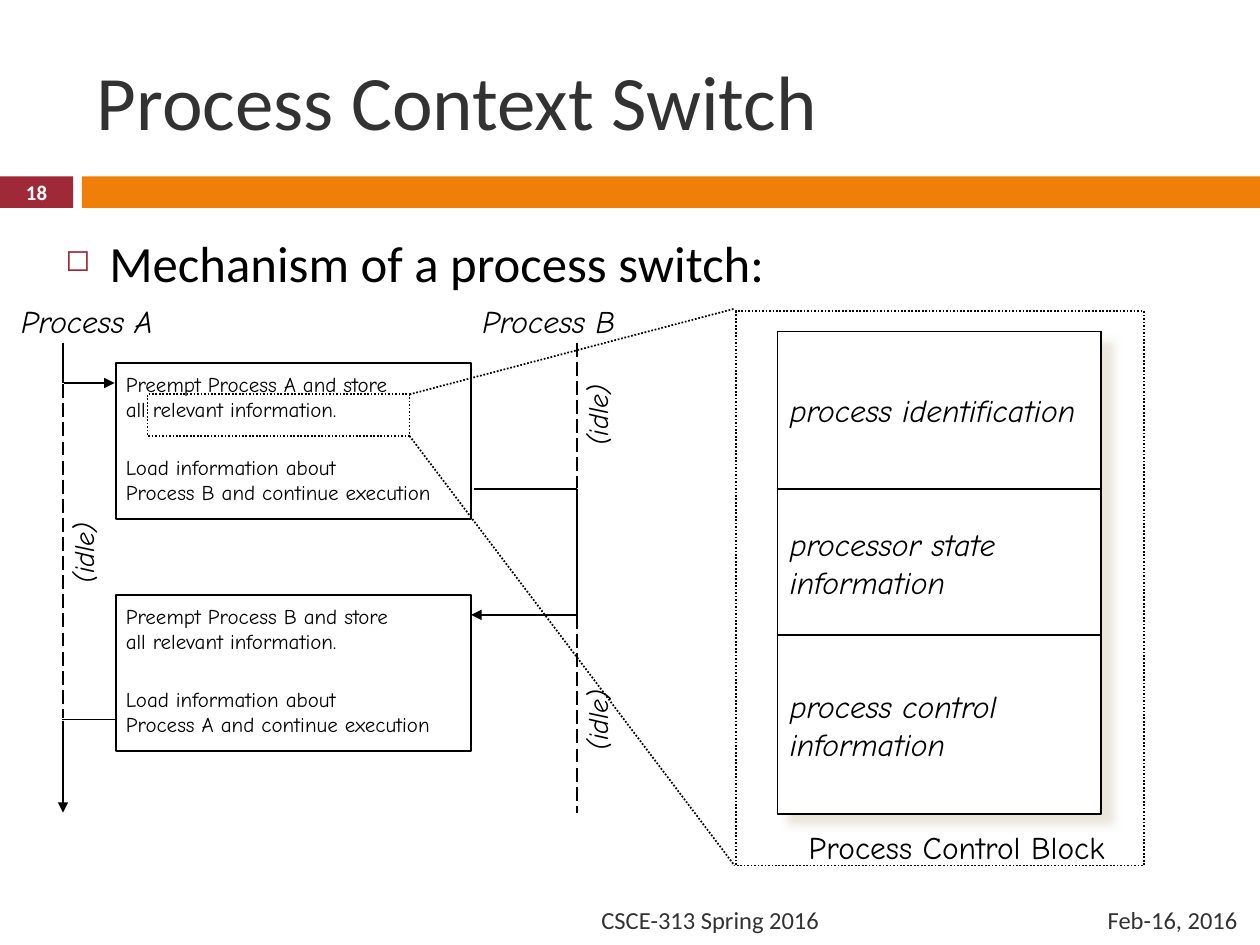
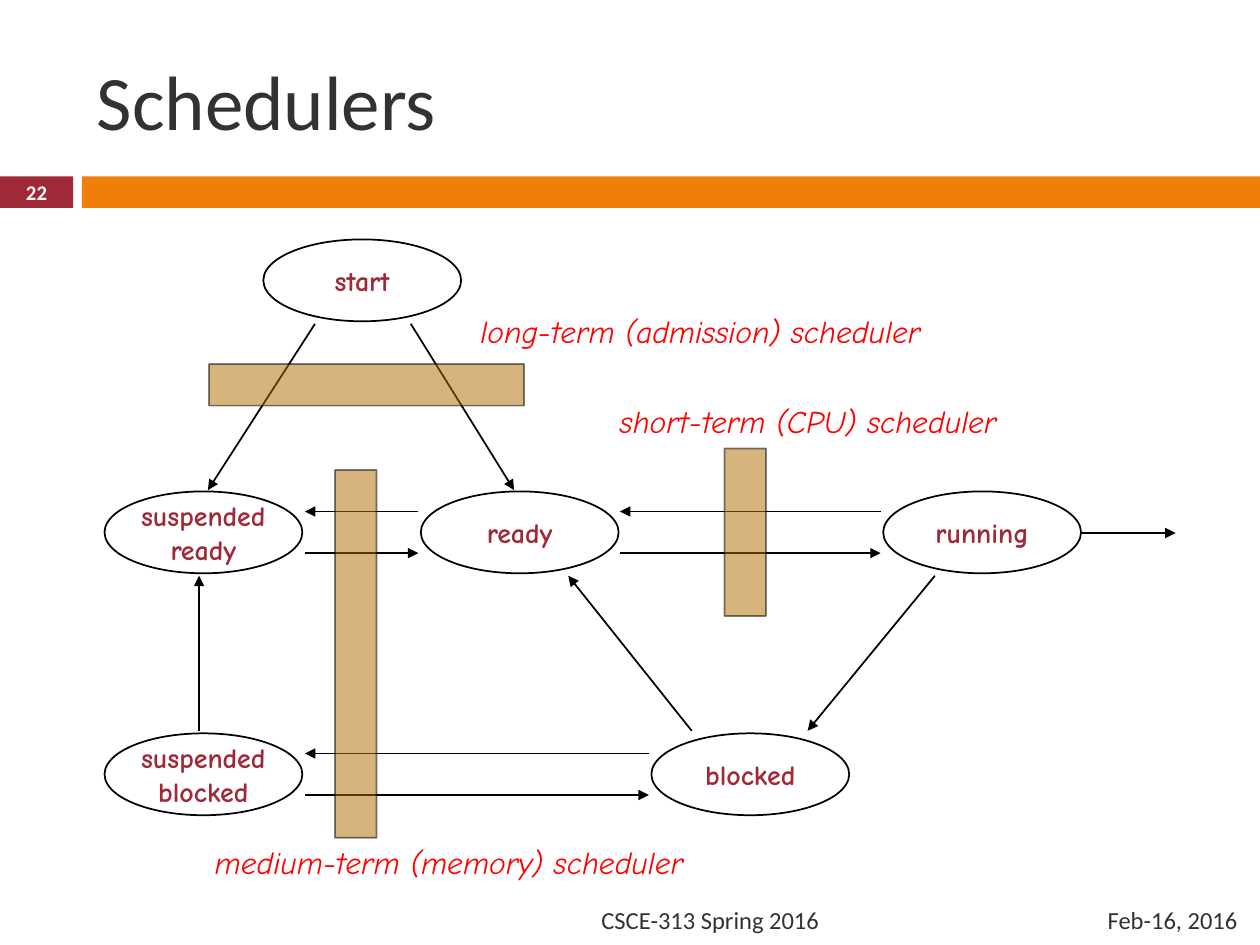
"""Build two slides on process switching and schedulers."""
from lxml.etree import SubElement as Sub
from pptx import Presentation
from pptx.dml.color import RGBColor
from pptx.enum.dml import MSO_LINE as Dash
from pptx.enum.shapes import MSO_CONNECTOR as Link, MSO_SHAPE as Form
from pptx.enum.text import MSO_ANCHOR as Anchor, PP_ALIGN as Align
from pptx.oxml.ns import qn
from pptx.util import Inches, Pt

BLACK = RGBColor(0, 0, 0)
WHITE = RGBColor(255, 255, 255)
GREY = RGBColor(0x32, 0x32, 0x32)
WINE = RGBColor(0x9F, 0x29, 0x36)
ORANGE = RGBColor(0xF0, 0x7F, 0x09)
BROWN = RGBColor(0xB2, 0x6B, 0x02)
RED = RGBColor(255, 0, 0)
HAND = "Comic Neue"
SANS = "Calibri"


def put(page, text, at, form=None, fill=None, line=None, dash=None, font=HAND, size=18,
        color=BLACK, bold=False, slant=False, align=Align.LEFT, anchor=Anchor.TOP,
        wrap=True, turn=0):
    """Place text in a plain box or in a preset shape."""
    area = [Inches(n) for n in at]
    if form is None:
        shape = page.shapes.add_textbox(*area)
    else:
        shape = page.shapes.add_shape(form, *area)
        shape.shadow.inherit = False
        if fill is None:
            shape.fill.background()
        else:
            shape.fill.solid()
            shape.fill.fore_color.rgb = fill
        if line is None:
            shape.line.fill.background()
        else:
            shape.line.color.rgb = line
            shape.line.width = Pt(1)
            shape.line.dash_style = dash
    shape.rotation = turn
    frame = shape.text_frame
    frame.word_wrap = wrap
    frame.vertical_anchor = anchor
    for i, row in enumerate(text.split("\n") if text else []):
        para = frame.add_paragraph() if i else frame.paragraphs[0]
        para.alignment = align
        run = para.add_run()
        run.text = row
        run.font.name = font
        run.font.size = Pt(size)
        run.font.color.rgb = color
        run.font.bold = bold
        run.font.italic = slant
    return shape


def draw(page, x1, y1, x2, y2, dash=None, arrow=False):
    """Draw a straight line, with an arrowhead at its end on demand."""
    line = page.shapes.add_connector(Link.STRAIGHT, *[Inches(n) for n in (x1, y1, x2, y2)])
    line.line.color.rgb = BLACK
    line.line.width = Pt(1)
    line.line.dash_style = dash
    if arrow:
        Sub(line.line._ln, qn("a:tailEnd"), type="triangle")
    Sub(line._element.spPr, qn("a:effectLst"))


deck = Presentation()
deck.slide_width = Inches(10)
deck.slide_height = Inches(7.5)

pages = []
for title, number in (("Process Context Switch", "18"), ("Schedulers", "22")):
    page = deck.slides.add_slide(deck.slide_layouts[6])
    put(page, number, (0, 1.4, 0.58, 0.25), Form.RECTANGLE, fill=WINE, font=SANS, size=11.9,
        color=WHITE, bold=True, align=Align.CENTER, anchor=Anchor.MIDDLE)
    put(page, "", (0.65, 1.4, 9.35, 0.25), Form.RECTANGLE, fill=ORANGE)
    put(page, title, (0.67, 0.25, 8.92, 1.08), font=SANS, size=44, color=GREY,
        anchor=Anchor.MIDDLE)
    for note, left, width in (("CSCE-313 Spring 2016", 0.67, 5.93), ("Feb-16, 2016", 7, 2.92)):
        put(page, note, (left, 7.1, width, 0.4), font=SANS, size=14, color=GREY,
            align=Align.RIGHT, anchor=Anchor.MIDDLE)
    pages.append(page)
switch, plan = pages

body = put(switch, "Mechanism of a process switch:", (0.42, 1.79, 9.17, 0.65),
           font=SANS, size=29)
para = body.text_frame.paragraphs[0]
para.space_before = Pt(7)
props = para._p.get_or_add_pPr()
props.set("marL", str(Inches(0.35)))
props.set("indent", str(Inches(-0.35)))
tint = Sub(props, qn("a:buClr"))
Sub(tint, qn("a:srgbClr"), val=str(WINE))
Sub(props, qn("a:buSzPct"), val="60000")
Sub(props, qn("a:buChar"), char="◻")

for old, new, top in (("A", "B", 2.88), ("B", "A", 4.72)):
    put(switch, "", (0.92, top, 2.82, 1.24), Form.RECTANGLE, fill=WHITE, line=BLACK)
    put(switch, f"Preempt Process {old} and store\nall relevant information.",
        (0.9, top + 0.02, 2.82, 0.5), size=12)
    put(switch, f"Load information about\nProcess {new} and continue execution",
        (0.9, top + 0.68, 2.82, 0.5), size=12)

for name, left in (("Process A", 0.07), ("Process B", 3.73)):
    put(switch, name, (left, 2.35, 1.3, 0.4), slant=True, wrap=False)
for left, top in ((4.39, 3.11), (4.39, 5.53), (0.31, 4.2)):
    put(switch, "(idle)", (left, top, 0.69, 0.36), size=16, slant=True, wrap=False, turn=270)

for ends in ((4.58, 2.72, 4.58, 3.87), (0.5, 3.05, 0.5, 5.7), (4.58, 4.88, 4.58, 6.45)):
    draw(switch, *ends, dash=Dash.LONG_DASH)
for ends in ((0.5, 2.72, 0.5, 3.04), (3.76, 3.88, 4.58, 3.88), (4.58, 3.88, 4.58, 4.95),
             (0.92, 5.71, 0.49, 5.71)):
    draw(switch, *ends)
for ends in ((0.51, 3.04, 0.91, 3.04), (4.59, 4.88, 3.74, 4.88), (0.5, 5.72, 0.5, 6.45)):
    draw(switch, *ends, arrow=True)

block = put(switch, "", (6.17, 2.63, 2.57, 3.82), Form.RECTANGLE, fill=WHITE, line=BLACK)
glow = Sub(block._element.spPr.find(qn("a:effectLst")), qn("a:outerShdw"),
           blurRad=str(Pt(5)), dist=str(Pt(8.5)), dir="2700000", algn="tl", rotWithShape="0")
tint = Sub(glow, qn("a:srgbClr"), val="E3DED1")
Sub(tint, qn("a:alpha"), val="75000")
for text, top, tall in (("process identification", 2.63, 1.25),
                        ("processor state\ninformation", 3.88, 1.17),
                        ("process control\ninformation", 5.04, 1.42)):
    put(switch, text, (6.17, top, 2.57, tall), Form.RECTANGLE, fill=WHITE, line=BLACK,
        slant=True, anchor=Anchor.MIDDLE)
put(switch, "Process Control Block", (6.32, 6.52, 2.65, 0.4), wrap=False)

for area in ((1.17, 3.13, 2.08, 0.33), (5.84, 2.47, 3.24, 4.4)):
    put(switch, "", area, Form.RECTANGLE, line=BLACK, dash=Dash.ROUND_DOT)
for ends in ((3.25, 3.13, 5.83, 2.45), (3.25, 3.46, 5.83, 6.87)):
    draw(switch, *ends, dash=Dash.ROUND_DOT)

for state, left, top in (("start", 2.09, 1.9), ("suspended\nready", 0.83, 3.9),
                         ("ready", 3.34, 3.9), ("running", 7.01, 3.9),
                         ("suspended\nblocked", 0.83, 5.82), ("blocked", 5.17, 5.82)):
    put(plan, state, (left, top, 1.57, 0.65), Form.OVAL, fill=WHITE, line=BLACK, size=16,
        color=WINE, bold=True, align=Align.CENTER, anchor=Anchor.MIDDLE, wrap=False)

for left, right, top in ((2.42, 3.32, 4.06), (4.92, 6.99, 4.06), (2.42, 5.15, 5.98)):
    draw(plan, right, top, left, top, arrow=True)
    draw(plan, left, top + 0.33, right, top + 0.33, arrow=True)
for ends in ((3.26, 2.57, 4.08, 3.89), (2.5, 2.57, 1.65, 3.89), (8.59, 4.23, 9.33, 4.23),
             (7.42, 4.57, 6.41, 5.8), (5.49, 5.8, 4.51, 4.57), (1.58, 5.8, 1.58, 4.57)):
    draw(plan, *ends, arrow=True)

for text, spot, area in (
        ("long-term (admission) scheduler", (3.67, 2.43, 3.78, 0.4), (1.66, 2.89, 2.5, 0.33)),
        ("medium-term (memory) scheduler", (1.58, 6.64, 3.97, 0.4), (2.66, 3.73, 0.33, 2.92)),
        ("short-term (CPU) scheduler", (4.75, 3.14, 3.33, 0.4), (5.75, 3.56, 0.33, 1.33))):
    gate = put(plan, "", area, Form.RECTANGLE, fill=BROWN, line=BLACK)
    for tint, share in zip(gate._element.spPr.iter(qn("a:srgbClr")), ("51000", "50000")):
        Sub(tint, qn("a:alpha"), val=share)
    put(plan, text, spot, color=RED, slant=True, align=Align.CENTER, wrap=False)

deck.save("out.pptx")
